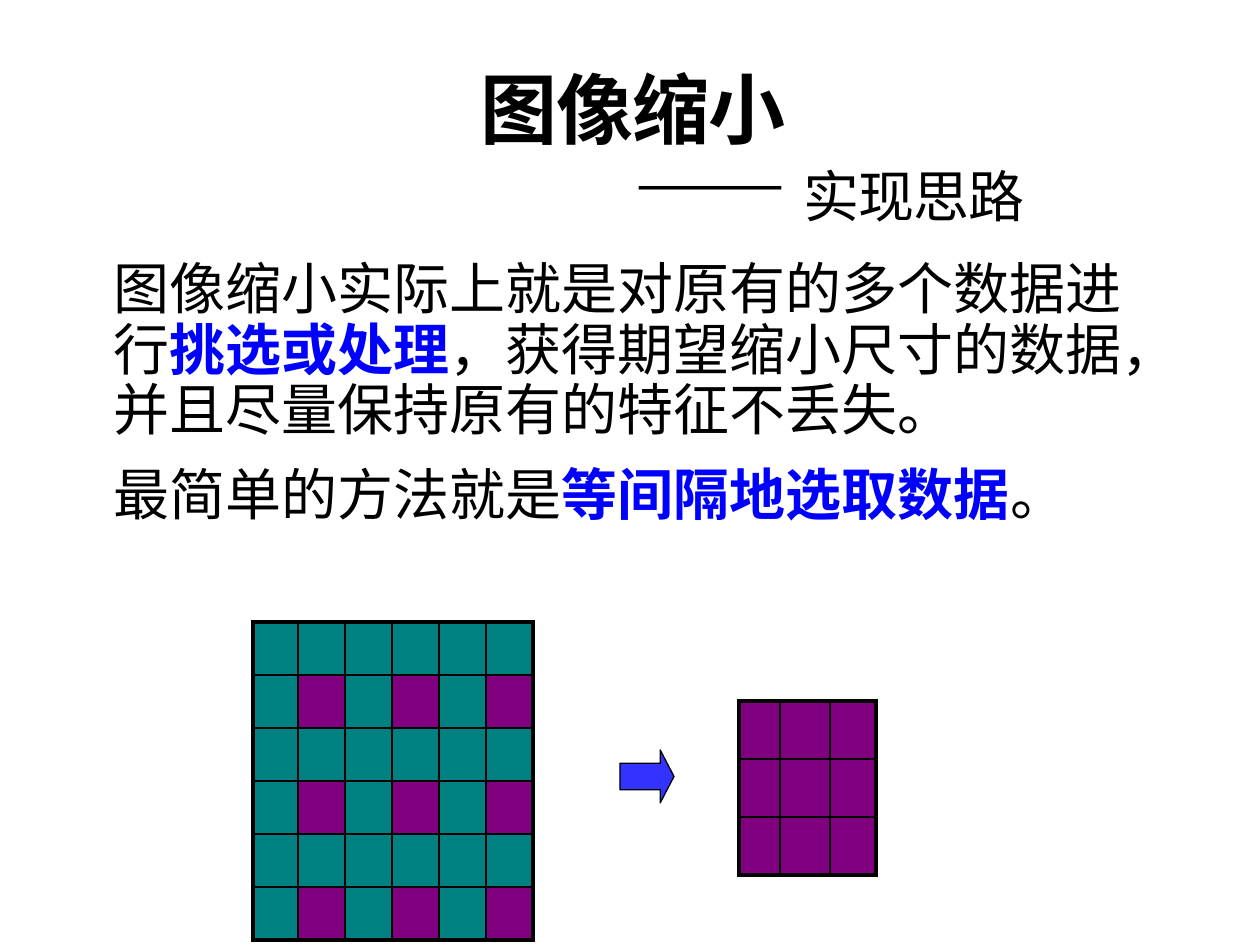
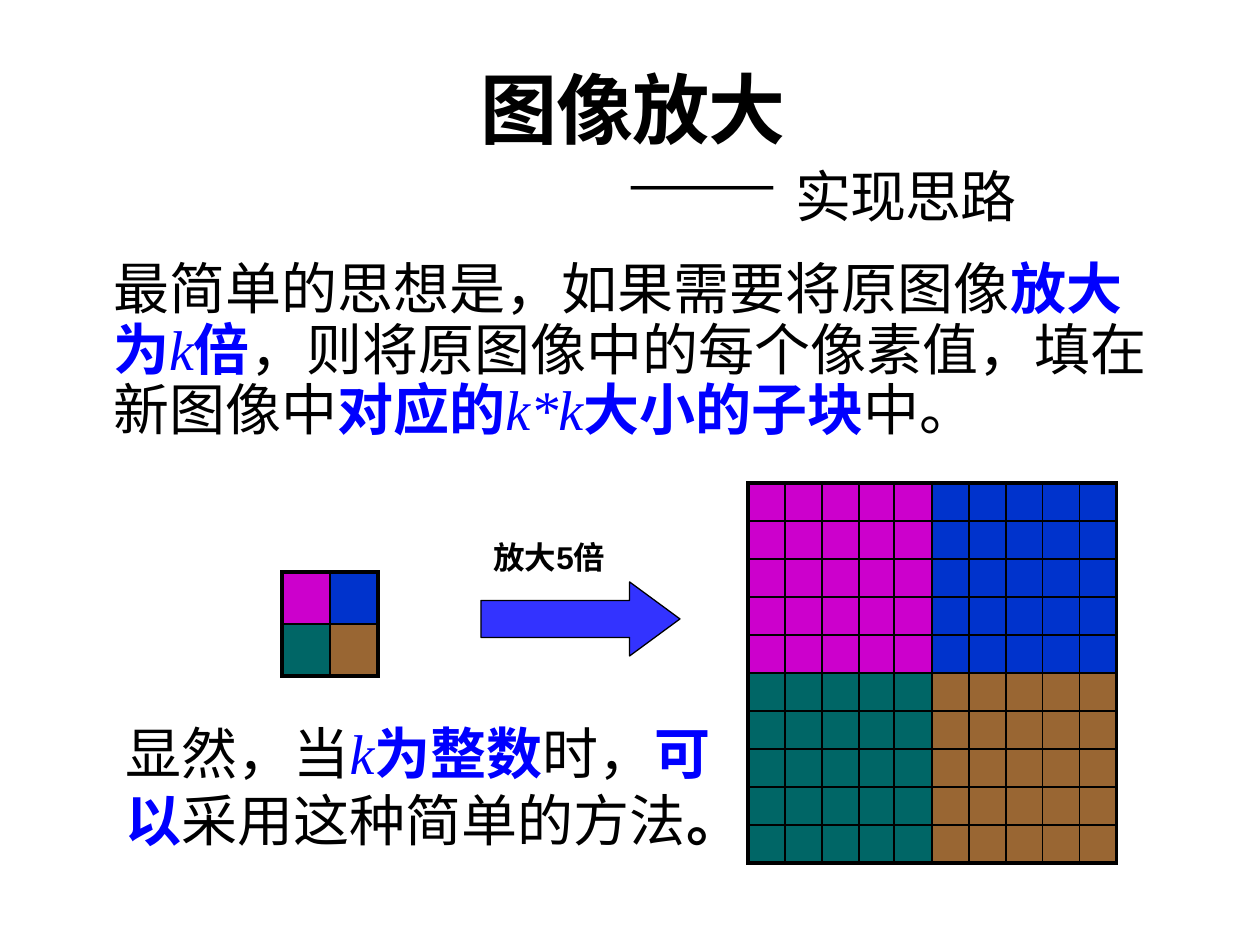
from lxml import etree
from pptx import Presentation
from pptx.dml.color import RGBColor
from pptx.enum.lang import MSO_LANGUAGE_ID
from pptx.enum.shapes import MSO_SHAPE
from pptx.enum.text import MSO_ANCHOR, PP_ALIGN
from pptx.oxml.ns import qn
from pptx.util import Emu, Pt

RIGHT_ARROW = MSO_SHAPE.RIGHT_ARROW
CHINESE = MSO_LANGUAGE_ID.SIMPLIFIED_CHINESE
BOTTOM, TOP = MSO_ANCHOR.BOTTOM, MSO_ANCHOR.TOP
CENTER, LEFT = PP_ALIGN.CENTER, PP_ALIGN.LEFT

BLACK, BLUE, ARROW_BLUE = "000000", "0000FF", "3333FF"
CELL_COLOURS = {
    "t": "008080", "p": "800080",
    "m": "CC00CC", "b": "0033CC", "g": "006666", "o": "996633",
}

TITLE_AREA = (113, 39, 1040, 200)
BODY_AREA = (113, 255, 1040, 554)
ENLARGE_FACTOR = 5
QUADRANTS = ["mb", "go"]

PLAIN = {"bold": False}
STRONG = {"bold": True, "colour": BLUE}
SYMBOL = {"name": "Times New Roman", "italic": True, "colour": BLUE}

SLIDES = [
    {
        "title": "图像缩小",
        "subtitle_indent": 508,
        "body": [
            [("图像缩小实际上就是对原有的多个数据进行", PLAIN), ("挑选或处理", STRONG),
             ("，获得期望缩小尺寸的数据，并且尽量保持原有的特征不丢失。", PLAIN)],
            [("最简单的方法就是", PLAIN), ("等间隔地选取数据", STRONG), ("。", PLAIN)],
        ],
        "grids": [
            (253, 622, [45] + [47] * 5, 53, ["tttttt", "tptptp"] * 3),
            (739, 701, [41, 50, 46], 58, ["ppp"] * 3),
        ],
        "arrow": (620, 750, 54, 53, 0.26),
        "notes": [],
    },
    {
        "title": "图像放大",
        "subtitle_indent": 500,
        "body": [
            [("最简单的思想是，如果需要将原图像", PLAIN), ("放大为", STRONG), ("k", SYMBOL),
             ("倍", STRONG), ("，则将原图像中的每个像素值，填在新图像中", PLAIN),
             ("对应的", STRONG), ("k*k", SYMBOL), ("大小的子块", STRONG), ("中。", PLAIN)],
        ],
        "grids": [
            (282, 572, [48] * 2, 52, QUADRANTS),
            (748, 483, [37, 37, 37, 35, 38] + [37] * 5, 38,
             ["".join(code * ENLARGE_FACTOR for code in row)
              for row in QUADRANTS for _ in range(ENLARGE_FACTOR)]),
        ],
        "arrow": (481, 582, 199, 74, 0.68),
        "notes": [
            ((481, 532, 159, 50), 18, [("放大5倍", {"bold": True})]),
            ((113, 712, 615, 149), 32, [
                ("显然，当", PLAIN), ("k", SYMBOL), ("为整数", STRONG), ("时，", PLAIN),
                ("可以", STRONG), ("采用这种简单的方法", PLAIN), ("。", {"bold": True})]),
        ],
    },
]


def px(length):
    return Emu(round(length * 914400 / 126))


def colour(value):
    return RGBColor.from_string(value)


def set_all(target, values):
    for key, value in values.items():
        setattr(target, key, value)


def add_text_frame(slide, area, **frame_format):
    frame = slide.shapes.add_textbox(*map(px, area)).text_frame
    set_all(frame, {"word_wrap": True, **frame_format})
    return frame


def add_runs(paragraph, runs, name, size):
    for text, style in runs:
        run = paragraph.add_run()
        run.text = text
        values = {"name": name, "size": Pt(size), "language_id": CHINESE, **style}
        run.font.color.rgb = colour(values.pop("colour", BLACK))
        set_all(run.font, values)


def add_title(slide, title, indent):
    frame = add_text_frame(slide, TITLE_AREA, vertical_anchor=BOTTOM)
    heading, subtitle = frame.paragraphs[0], frame.add_paragraph()
    set_all(heading, {"alignment": CENTER, "line_spacing": 0.85})
    set_all(subtitle, {"alignment": LEFT, "line_spacing": 0.85})
    subtitle._p.get_or_add_pPr().set("marL", str(px(indent)))
    add_runs(heading, [(title, {"bold": True})], "Calibri", 44)
    add_runs(subtitle, [("—— ", {"bold": True}), ("实现思路", {"size": Pt(32)})], "Calibri", 44)
    for paragraph in (heading, subtitle):
        for run in paragraph.runs:
            run.font._element.set("spc", "-50")


def add_body(slide, paragraphs):
    frame = add_text_frame(slide, BODY_AREA, vertical_anchor=TOP, margin_left=0, margin_right=0)
    for index, runs in enumerate(paragraphs):
        paragraph = frame.add_paragraph() if index else frame.paragraphs[0]
        set_all(paragraph, {"line_spacing": 0.9, "space_before": Pt(12 if index else 0),
                            "space_after": Pt(2)})
        add_runs(paragraph, runs, "Calibri", 32)


def set_borders(cell, outer_sides):
    properties = cell._tc.get_or_add_tcPr()
    for index, (side, is_outer) in enumerate(outer_sides.items()):
        border = etree.Element(qn(f"a:ln{side}"), w=str(Pt(2.25 if is_outer else 1)))
        fill = etree.SubElement(border, qn("a:solidFill"))
        etree.SubElement(fill, qn("a:srgbClr"), val=BLACK)
        properties.insert(index, border)


def add_pixel_grid(slide, left, top, widths, row_height, pattern):
    rows, columns = len(pattern), len(widths)
    table = slide.shapes.add_table(
        rows, columns, px(left), px(top), px(sum(widths)), px(row_height * rows)).table
    set_all(table, {"first_row": False, "horz_banding": False})
    for column, width in zip(table.columns, widths):
        column.width = px(width)
    for r, codes in enumerate(pattern):
        table.rows[r].height = px(row_height)
        for c, code in enumerate(codes):
            cell = table.cell(r, c)
            set_all(cell, dict.fromkeys(
                ("margin_left", "margin_right", "margin_top", "margin_bottom"), 0))
            cell.fill.solid()
            cell.fill.fore_color.rgb = colour(CELL_COLOURS[code])
            set_borders(cell, {"L": c == 0, "R": c == columns - 1,
                               "T": r == 0, "B": r == rows - 1})
            paragraph = cell.text_frame.paragraphs[0]._p
            etree.SubElement(paragraph, qn("a:endParaRPr"), sz="1000")


def add_arrow(slide, left, top, width, height, head):
    arrow = slide.shapes.add_shape(RIGHT_ARROW, *map(px, (left, top, width, height)))
    arrow.shadow.inherit = False
    arrow.adjustments[0] = 0.5
    arrow.adjustments[1] = head
    arrow.fill.solid()
    arrow.fill.fore_color.rgb = colour(ARROW_BLUE)
    arrow.line.color.rgb = colour(BLACK)
    arrow.line.width = Pt(0.75)


def main():
    deck = Presentation()
    set_all(deck, {"slide_width": px(1260), "slide_height": px(945)})
    for content in SLIDES:
        slide = deck.slides.add_slide(deck.slide_layouts[6])
        add_title(slide, content["title"], content["subtitle_indent"])
        add_body(slide, content["body"])
        for grid in content["grids"]:
            add_pixel_grid(slide, *grid)
        add_arrow(slide, *content["arrow"])
        for area, size, runs in content["notes"]:
            add_runs(add_text_frame(slide, area).paragraphs[0], runs, "Arial", size)
    deck.save("out.pptx")


if __name__ == "__main__":
    main()
